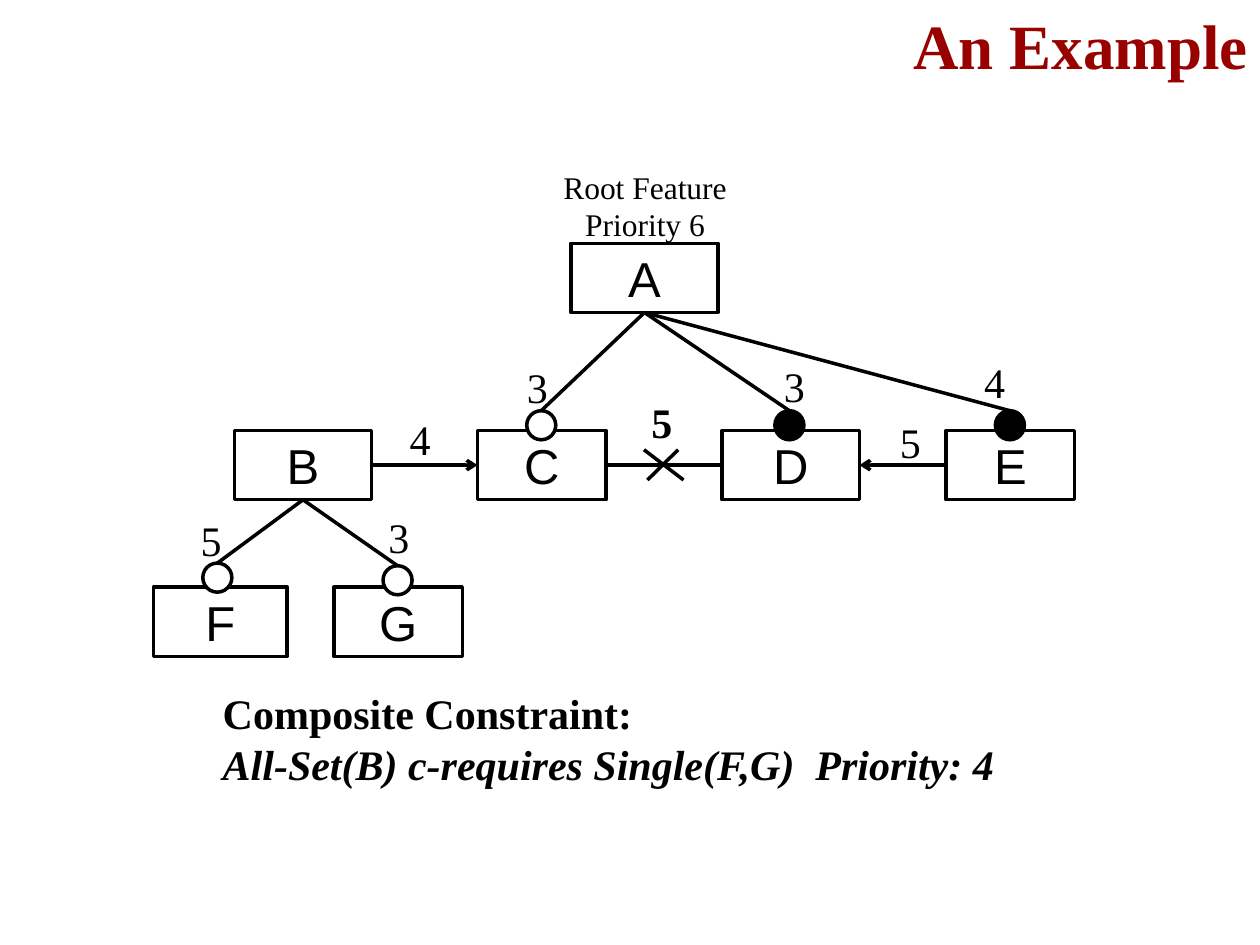
"""Build a slide with a feature tree, its priorities and its constraints."""
from lxml import etree
from pptx import Presentation
from pptx.dml.color import RGBColor
from pptx.enum.shapes import MSO_CONNECTOR, MSO_SHAPE
from pptx.enum.text import MSO_ANCHOR, PP_ALIGN
from pptx.oxml.ns import qn
from pptx.util import Pt

RECTANGLE, OVAL = MSO_SHAPE.RECTANGLE, MSO_SHAPE.OVAL
STRAIGHT = MSO_CONNECTOR.STRAIGHT
LEFT, CENTER, RIGHT = PP_ALIGN.LEFT, PP_ALIGN.CENTER, PP_ALIGN.RIGHT
TOP, MIDDLE, BOTTOM = MSO_ANCHOR.TOP, MSO_ANCHOR.MIDDLE, MSO_ANCHOR.BOTTOM
TOP_SITE, LEFT_SITE, BOTTOM_SITE, RIGHT_SITE = range(4)

COLORS = {"title": "990000", "ink": "000000", "paper": "FFFFFF"}
SERIF, SANS = "Times New Roman", "Arial"
BOX_HEIGHT, CIRCLE_SIZE, LINE_WIDTH = 39.6, 16.6, 2

FEATURES = {
    "A": (326.2, 139, 84.2),
    "B": (133.9, 246, 78.5),
    "C": (272.9, 246, 73.4),
    "D": (412.6, 246, 78.5),
    "E": (540.7, 246, 73.4),
    "F": (87.8, 335.5, 76.3),
    "G": (190.8, 335.5, 73.4),
}
BRANCHES = [
    ("A", "C", 301, 234.7, "paper"),
    ("A", "D", 442.8, 234.7, "ink"),
    ("A", "E", 568.8, 234.7, "ink"),
    ("B", "F", 115.9, 321.8, "paper"),
    ("B", "G", 218.9, 323.3, "paper"),
]
CONSTRAINTS = [
    ("B", RIGHT_SITE, "C", LEFT_SITE, True),
    ("E", LEFT_SITE, "D", RIGHT_SITE, True),
    ("C", RIGHT_SITE, "D", LEFT_SITE, False),
]
CROSS = [(368, 257, 390.6, 274.3), (370, 274.3, 387.5, 257)]
PRIORITIES = [
    ("4", 223.2, 232.6, False),
    ("3", 290.2, 203, False),
    ("5", 361.4, 223.2, True),
    ("3", 211, 288.7, False),
    ("5", 103.7, 290.2, False),
    ("5", 503.3, 234.7, False),
    ("4", 551.5, 200.2, False),
    ("3", 437, 202.3, False),
]


def style_text(shape, lines, size, font=SERIF, color="ink", align=CENTER,
               anchor=TOP, bold=False):
    frame = shape.text_frame
    frame.word_wrap = True
    frame.vertical_anchor = anchor
    frame.text = "\n".join(lines)
    for paragraph in frame.paragraphs:
        paragraph.alignment = align
        paragraph.font.name = font
        paragraph.font.size = Pt(size)
        paragraph.font.bold = bold
        paragraph.font.color.rgb = RGBColor.from_string(COLORS[color])


def add_text(slide, lines, box, size, **style):
    text_box = slide.shapes.add_textbox(*map(Pt, box))
    style_text(text_box, lines, size, **style)
    return text_box


def style_line(shape):
    shape.line.color.rgb = RGBColor.from_string(COLORS["ink"])
    shape.line.width = Pt(LINE_WIDTH)


def add_outline(slide, kind, box, fill=None):
    shape = slide.shapes.add_shape(kind, *map(Pt, box))
    shape.shadow.inherit = False
    if fill:
        shape.fill.solid()
        shape.fill.fore_color.rgb = RGBColor.from_string(COLORS[fill])
    else:
        shape.fill.background()
    style_line(shape)
    return shape


def add_line(slide, ends=(0, 0, 0, 0), arrow=False):
    line = slide.shapes.add_connector(STRAIGHT, *map(Pt, ends))
    style_line(line)
    if arrow:
        etree.SubElement(line.line._get_or_add_ln(), qn("a:tailEnd"), type="arrow")
    etree.SubElement(line._element.spPr, qn("a:effectLst"))
    return line


def join(slide, start, start_site, end, end_site, arrow=False):
    line = add_line(slide, arrow=arrow)
    line.begin_connect(start, start_site)
    line.end_connect(end, end_site)


def main():
    presentation = Presentation()
    presentation.slide_width, presentation.slide_height = Pt(720), Pt(540)
    slide = presentation.slides.add_slide(presentation.slide_layouts[6])

    add_text(slide, ["An Example"], (243.4, 0, 476.6, 50.4), 36, color="title",
             align=RIGHT, anchor=BOTTOM, bold=True)

    boxes = {}
    for name, (left, top, width) in FEATURES.items():
        boxes[name] = add_outline(slide, RECTANGLE, (left, top, width, BOX_HEIGHT))
        style_text(boxes[name], [name], 28, font=SANS, anchor=MIDDLE)

    for parent, child, left, top, fill in BRANCHES:
        circle = add_outline(slide, OVAL, (left, top, CIRCLE_SIZE, CIRCLE_SIZE), fill)
        join(slide, boxes[parent], BOTTOM_SITE, circle, TOP_SITE)

    for start, start_site, end, end_site, arrow in CONSTRAINTS:
        join(slide, boxes[start], start_site, boxes[end], end_site, arrow)
    for ends in CROSS:
        add_line(slide, ends)

    composite = add_text(
        slide, ["Composite Constraint:", "All-Set(B) c-requires Single(F,G)  Priority: 4"],
        (120.2, 389.5, 486, 65.5), 24, align=LEFT, bold=True)
    composite.text_frame.paragraphs[1].font.italic = True
    add_text(slide, ["Root Feature", "Priority 6"], (309.6, 92.2, 118, 51), 18)
    for priority, left, top, bold in PRIORITIES:
        add_text(slide, [priority], (left, top, 33.8, 36), 24, bold=bold)

    presentation.save("out.pptx")


if __name__ == "__main__":
    main()
